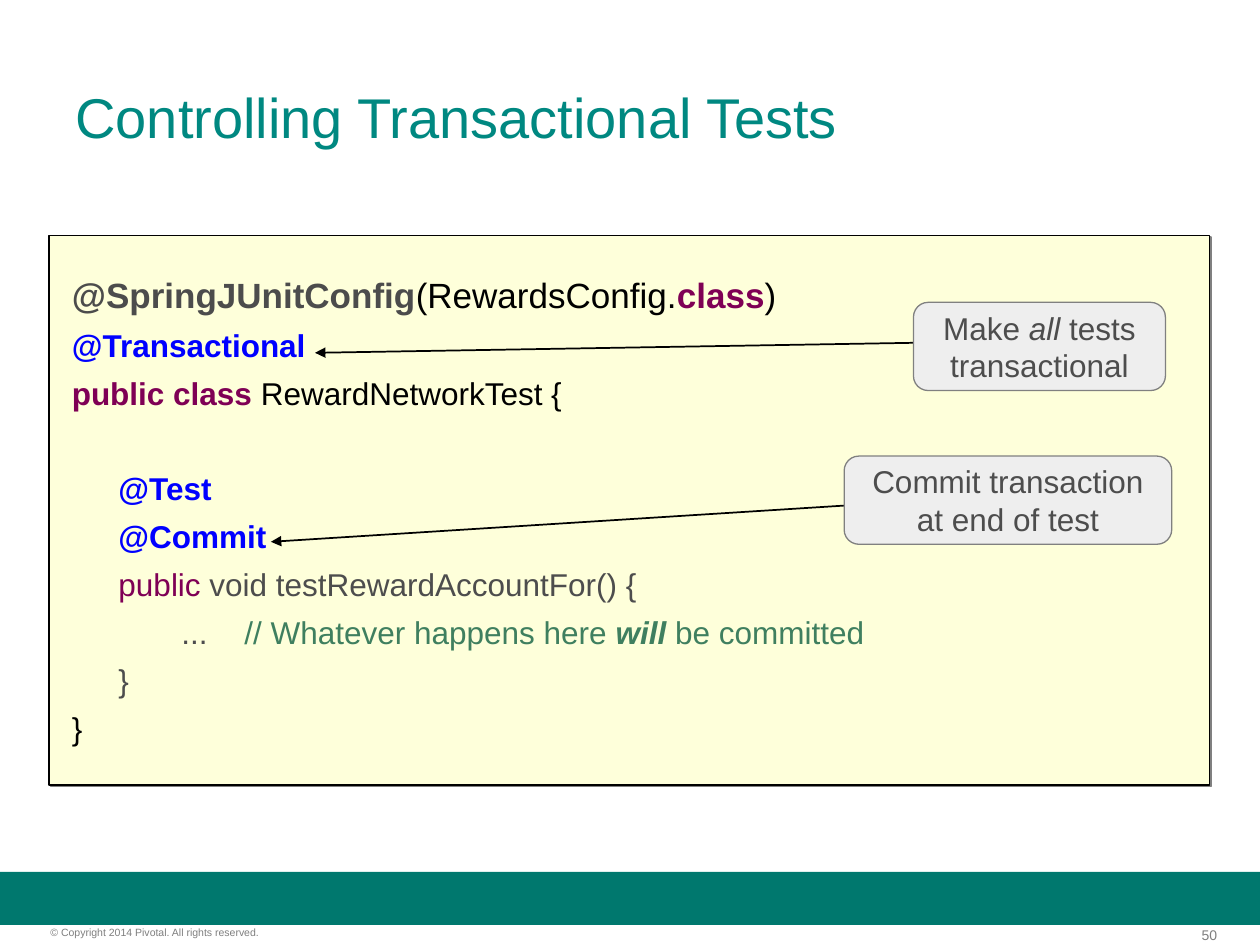
"""Build a slide on controlling transactional tests."""
from lxml.etree import SubElement
from pptx import Presentation
from pptx.dml.color import RGBColor
from pptx.enum.shapes import MSO_CONNECTOR, MSO_SHAPE
from pptx.enum.text import MSO_ANCHOR, PP_ALIGN
from pptx.oxml.ns import qn
from pptx.util import Inches, Pt

COLORS = {
    "band": "00786E", "title": "008881", "footer": "7F7F7F",
    "code": "FEFFDA", "callout": "EEEEEE", "edge": "808080",
    "black": "000000", "config": "4C4C4C", "gray": "4D4D4D",
    "annotation": "0000FF", "keyword": "7F0055", "comment": "3F7F5F",
}
CODE_GAP = 5.9
BLANK_LINE = 26.6

CODE_LINES = [
    [("@SpringJUnitConfig", dict(size=20, color="config", bold=True)),
     ("(RewardsConfig.", dict(size=20)),
     ("class", dict(size=20, color="keyword", bold=True)),
     (")", dict(size=20))],
    [("@Transactional", dict(color="annotation", bold=True))],
    [("public class", dict(color="keyword", bold=True)),
     (" RewardNetworkTest {", {})],
    [("\t@Test", dict(color="annotation", bold=True))],
    [("\t@Commit", dict(color="annotation", bold=True))],
    [("\tpublic", dict(color="keyword")),
     (" void testRewardAccountFor() {", dict(color="gray"))],
    [(" \t\t...", dict(color="gray")),
     ("\t", dict(size=11, font="Courier New")),
     ("// Whatever happens here ", dict(color="comment")),
     ("will", dict(color="comment", bold=True, italic=True)),
     (" be committed", dict(color="comment"))],
    [("\t}", dict(color="gray"))],
    [("}", {})],
]


def rgb(name):
    return RGBColor.from_string(COLORS[name])


def add_span(para, text, size=18, color="black", bold=False, italic=False, font="Arial"):
    span = para.add_run()
    span.text = text
    span.font.name = font
    span.font.size = Pt(size)
    span.font.bold = bold
    span.font.italic = italic
    span.font.color.rgb = rgb(color)


def set_frame(box, margins, anchor):
    frame = box.text_frame
    frame.word_wrap = True
    frame.vertical_anchor = anchor
    (frame.margin_left, frame.margin_top,
     frame.margin_right, frame.margin_bottom) = map(Inches, margins)
    return frame


def add_label(page, bounds, text, margins=(0, 0, 0, 0), anchor=MSO_ANCHOR.TOP,
              align=PP_ALIGN.LEFT, **style):
    box = page.shapes.add_textbox(*map(Inches, bounds))
    para = set_frame(box, margins, anchor).paragraphs[0]
    para.alignment = align
    add_span(para, text, **style)


def add_panel(page, kind, bounds, fill, line=None, width=0):
    panel = page.shapes.add_shape(kind, *map(Inches, bounds))
    panel.shadow.inherit = False
    panel.fill.solid()
    panel.fill.fore_color.rgb = rgb(fill)
    if line:
        panel.line.color.rgb = rgb(line)
        panel.line.width = Pt(width)
    else:
        panel.line.fill.background()
    return panel


def add_shadow(panel):
    effects = panel._element.spPr.find(qn("a:effectLst"))
    shadow = SubElement(effects, qn("a:outerShdw"), dist=str(Pt(1.4)),
                        dir=str(45 * 60000), algn="ctr", rotWithShape="0")
    SubElement(shadow, qn("a:srgbClr"), val=COLORS["edge"])


def add_code(page):
    panel = add_panel(page, MSO_SHAPE.RECTANGLE, (0.39, 1.87, 9.21, 4.36),
                      "code", "black", 1)
    add_shadow(panel)
    frame = set_frame(panel, (0.18, 0.05, 0.1, 0.05), MSO_ANCHOR.MIDDLE)
    for index, spans in enumerate(CODE_LINES):
        para = frame.add_paragraph() if index else frame.paragraphs[0]
        para.alignment = PP_ALIGN.LEFT
        properties = para._p.get_or_add_pPr()
        properties.set("marL", str(Inches(0.37)))
        properties.set("indent", str(Inches(-0.37)))
        if index:
            starts_method = spans[0][0] == "\t@Test"
            para.space_before = Pt(CODE_GAP + BLANK_LINE * starts_method)
        for text, style in spans:
            add_span(para, text, **style)


def add_callout(page, bounds, spans):
    panel = add_panel(page, MSO_SHAPE.ROUNDED_RECTANGLE, bounds, "callout", "edge")
    frame = set_frame(panel, (0.1, 0.05, 0.1, 0.05), MSO_ANCHOR.MIDDLE)
    para = frame.paragraphs[0]
    para.alignment = PP_ALIGN.CENTER
    for text, italic in spans:
        add_span(para, text, color="gray", italic=italic)


def add_arrow(page, start, end):
    arrow = page.shapes.add_connector(MSO_CONNECTOR.STRAIGHT, *map(Inches, start + end))
    arrow.line.color.rgb = rgb("black")
    arrow.line.width = Pt(1)
    SubElement(arrow.line._get_or_add_ln(), qn("a:tailEnd"), type="triangle")
    SubElement(arrow._element.spPr, qn("a:effectLst"))


def main():
    deck = Presentation()
    deck.slide_width, deck.slide_height = Inches(10), Inches(7.5)
    page = deck.slides.add_slide(deck.slide_layouts[6])

    add_panel(page, MSO_SHAPE.RECTANGLE, (0, 6.92, 10, 0.42), "band")
    add_label(page, (9.08, 7.35, 0.58, 0.13), "50", align=PP_ALIGN.RIGHT,
              size=8, color="footer")
    add_label(page, (0.4, 7.35, 2.49, 0.1),
              "© Copyright 2014 Pivotal. All rights reserved.", size=6, color="footer")
    add_code(page)
    add_label(page, (0.5, 0.3, 9, 1.25), "Controlling Transactional Tests",
              margins=(0.1, 0.05, 0.1, 0.05), anchor=MSO_ANCHOR.MIDDLE,
              size=32, color="title")
    add_arrow(page, (7.31, 2.72), (2.5, 2.8))
    add_callout(page, (7.25, 2.4, 2, 0.7),
                [("Make ", False), ("all", True), (" tests transactional", False)])
    add_arrow(page, (6.9, 4), (2.15, 4.3))
    add_callout(page, (6.7, 3.62, 2.6, 0.7),
                [("Commit transaction at end of test", False)])
    deck.save("out.pptx")


if __name__ == "__main__":
    main()
